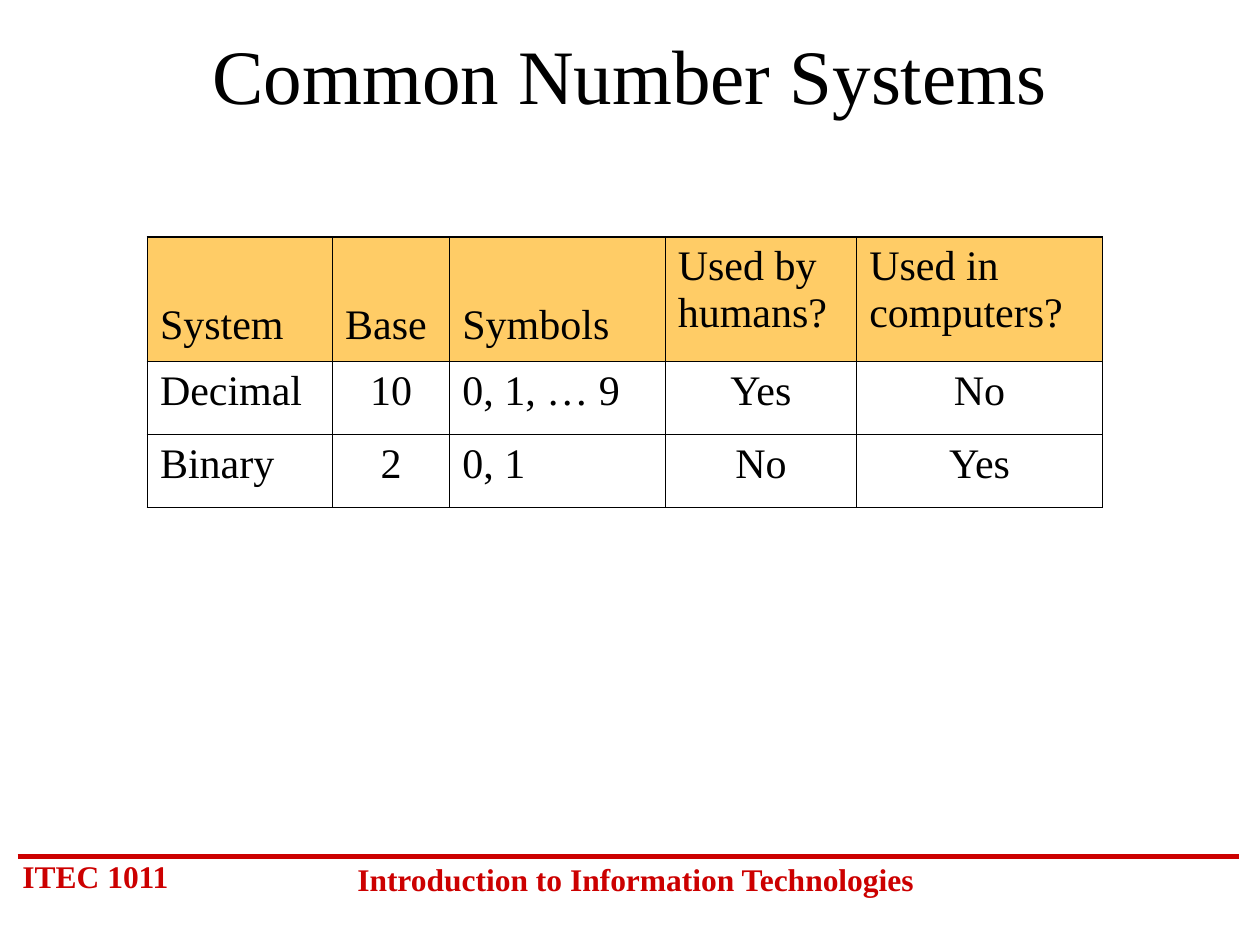
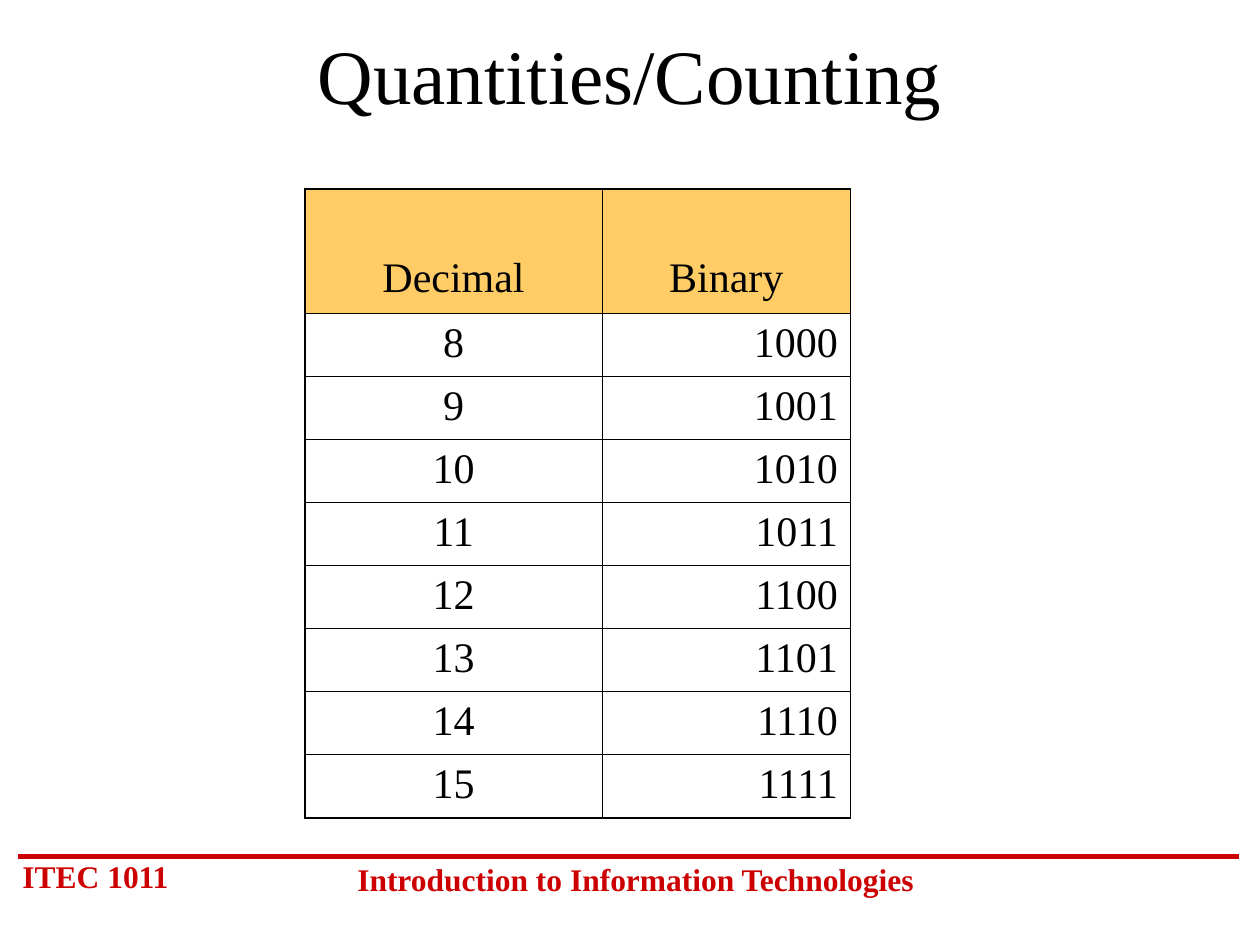
import pptx
import pptx.dml.color
import pptx.enum.shapes
import pptx.enum.text
import pptx.oxml
import pptx.oxml.ns
import pptx.util

Inches = pptx.util.Inches
Pt = pptx.util.Pt
ALIGN = pptx.enum.text.PP_ALIGN
ANCHOR = pptx.enum.text.MSO_ANCHOR

COLORS = {"text": "000000", "rule": "CC0000", "header": "FFCC66", "background": "FFFFFF"}
FONT = "Times New Roman"
TITLE_ONLY = 5
THIN, THICK = 0.45, 1.08


def color(name):
    return pptx.dml.color.RGBColor.from_string(COLORS[name])


def write(paragraph, text, size, color_name="text", bold=False, align=ALIGN.LEFT):
    paragraph.alignment = align
    run = paragraph.add_run()
    run.text = text
    run.font.name = FONT
    run.font.size = Pt(size)
    run.font.bold = bold
    run.font.color.rgb = color(color_name)


def add_footer_text(slide, text, left, top, width, align):
    box = slide.shapes.add_textbox(Inches(left), Inches(top), Inches(width), Inches(0.4))
    box.text_frame.word_wrap = True
    write(box.text_frame.paragraphs[0], text, 18, "rule", True, align)
    return box


def add_footer_rule(slide):
    rule = slide.shapes.add_connector(
        pptx.enum.shapes.MSO_CONNECTOR.STRAIGHT,
        Inches(0.14), Inches(6.8), Inches(9.83), Inches(6.8))
    rule.line.color.rgb = color("rule")
    rule.line.width = Pt(3)
    properties = rule.element.find(pptx.oxml.ns.qn("p:spPr"))
    properties.append(pptx.oxml.parse_xml(
        f'<a:effectLst {pptx.oxml.ns.nsdecls("a")}/>'))
    return rule


def prepare_layout(layout, slide):
    """Give the layout its title position and a footer, drawn by way of the slide."""
    layout.background.fill.solid()
    layout.background.fill.fore_color.rgb = color("background")
    title = layout.placeholders[0]
    title.left, title.top = Inches(0.75), Inches(0.17)
    title.width, title.height = Inches(8.5), Inches(0.83)
    footer = [
        add_footer_rule(slide),
        add_footer_text(slide, "ITEC 1011", 0.08, 6.75, 1.5, ALIGN.LEFT),
        add_footer_text(slide, "Introduction to Information Technologies",
                        2.67, 6.78, 4.75, ALIGN.CENTER),
    ]
    for shape_id, shape in enumerate(footer, start=101):
        shape.element.xpath(".//p:cNvPr")[0].set("id", str(shape_id))
        layout.shapes.element.append(shape.element)


def set_title(slide, text):
    frame = slide.shapes.title.text_frame
    frame.vertical_anchor = ANCHOR.MIDDLE
    write(frame.paragraphs[0], text, 44, align=ALIGN.CENTER)


def set_borders(cell, thick_sides):
    properties = cell._tc.get_or_add_tcPr()
    for side in "LRTB":
        width = Pt(THICK if side in thick_sides else THIN)
        properties.append(pptx.oxml.parse_xml(
            f'<a:ln{side} {pptx.oxml.ns.nsdecls("a")} w="{width}"><a:solidFill>'
            f'<a:srgbClr val="{COLORS["text"]}"/></a:solidFill></a:ln{side}>'))


def add_table(slide, left, top, widths, row_height, rows, aligns, header_aligns,
              thick_edges, top_headers=()):
    """Add a table with a coloured header row; top_headers are columns anchored at the top."""
    heights = [0.99] + [row_height] * (len(rows) - 1)
    table = slide.shapes.add_table(
        len(rows), len(widths), Inches(left), Inches(top),
        Inches(sum(widths)), Inches(sum(heights))).table
    table.first_row = table.horz_banding = False
    for column, width in zip(table.columns, widths):
        column.width = Inches(width)
    for row, height in zip(table.rows, heights):
        row.height = Inches(height)

    for row_index, row in enumerate(rows):
        for column_index, text in enumerate(row):
            cell = table.cell(row_index, column_index)
            edges = {"L": column_index == 0, "R": column_index == len(widths) - 1,
                     "T": row_index == 0, "B": row_index == len(rows) - 1}
            set_borders(cell, [side for side in thick_edges if edges[side]])
            is_header = row_index == 0
            if is_header:
                cell.fill.solid()
                cell.fill.fore_color.rgb = color("header")
            else:
                cell.fill.background()
            if is_header and column_index not in top_headers:
                cell.vertical_anchor = ANCHOR.BOTTOM
                cell.margin_bottom = Inches(0.1)
            else:
                cell.vertical_anchor = ANCHOR.TOP
            align = (header_aligns if is_header else aligns)[column_index]
            write(cell.text_frame.paragraphs[0], text, 24, align=align)


def main():
    presentation = pptx.Presentation()
    presentation.slide_width, presentation.slide_height = Inches(10), Inches(7.5)
    layout = presentation.slide_layouts[TITLE_ONLY]

    systems = presentation.slides.add_slide(layout)
    prepare_layout(layout, systems)
    set_title(systems, "Common Number Systems")
    add_table(
        systems, 1.17, 1.88, [1.47, 0.93, 1.71, 1.52, 1.95], 0.58,
        [["System", "Base", "Symbols", "Used by humans?", "Used in computers?"],
         ["Decimal", "10", "0, 1, … 9", "Yes", "No"],
         ["Binary", "2", "0, 1", "No", "Yes"]],
        aligns=[ALIGN.LEFT, ALIGN.CENTER, ALIGN.LEFT, ALIGN.CENTER, ALIGN.CENTER],
        header_aligns=[ALIGN.LEFT] * 5, thick_edges="LTR", top_headers=(3, 4))

    counting = presentation.slides.add_slide(layout)
    set_title(counting, "Quantities/Counting")
    add_table(
        counting, 2.42, 1.5, [2.36, 1.97], 0.5,
        [["Decimal", "Binary"]] + [[str(n), f"{n:b}"] for n in range(8, 16)],
        aligns=[ALIGN.CENTER, ALIGN.RIGHT],
        header_aligns=[ALIGN.CENTER] * 2, thick_edges="LTB")

    presentation.save("out.pptx")


if __name__ == "__main__":
    main()
